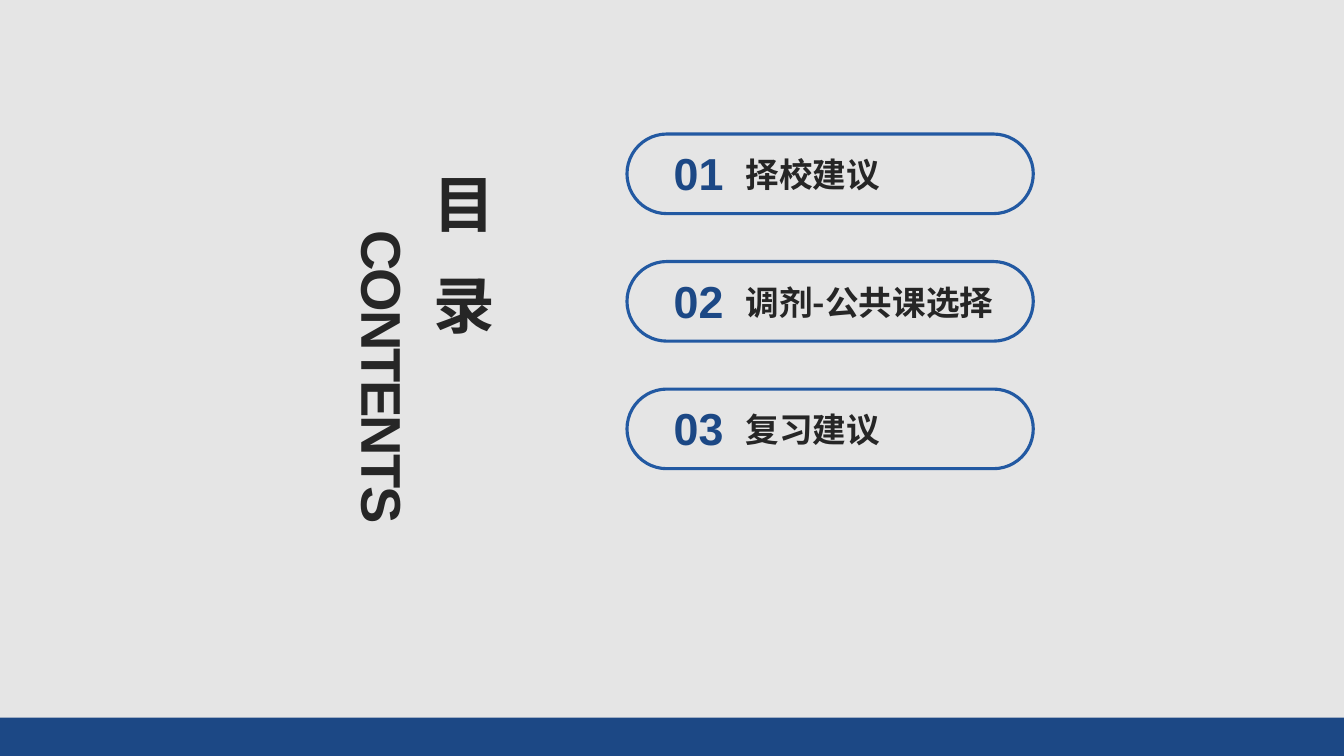
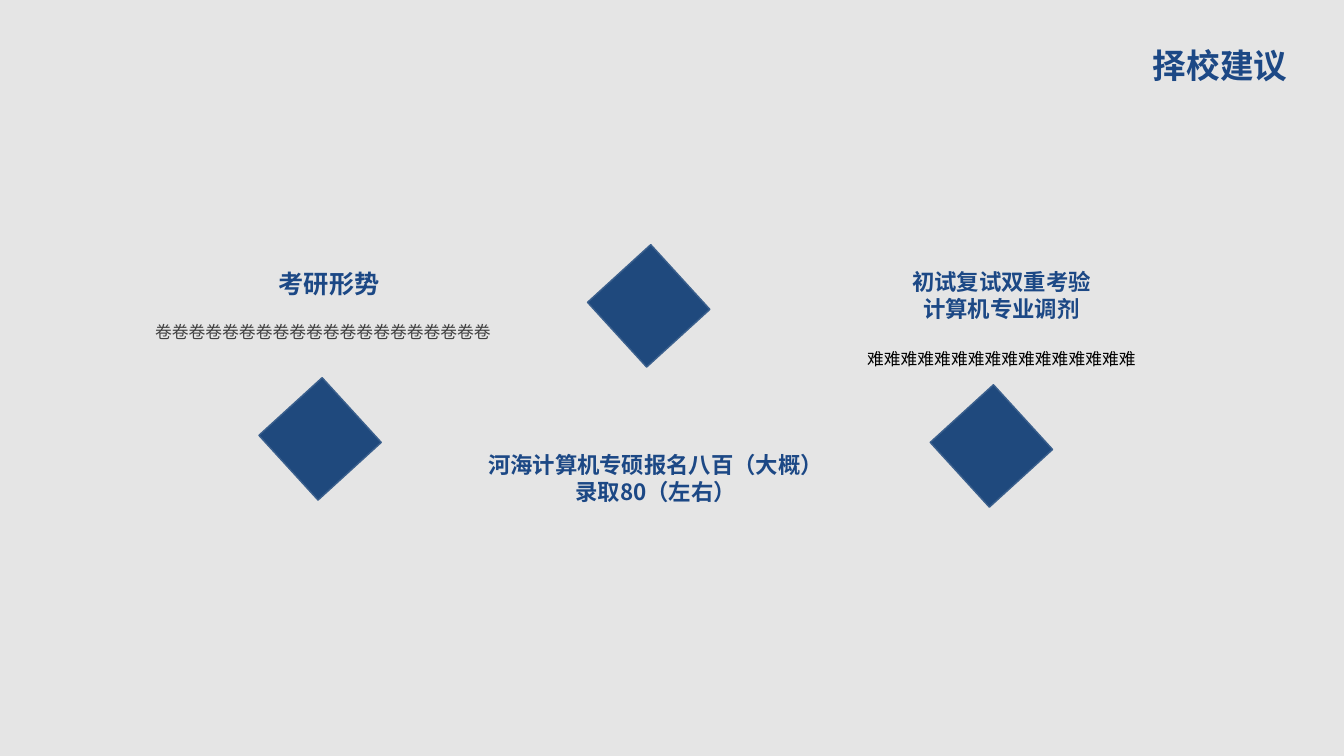
from dataclasses import dataclass

from lxml import etree
from pptx import Presentation
from pptx.dml.color import RGBColor
from pptx.enum.shapes import MSO_SHAPE as SHAPE
from pptx.enum.text import MSO_ANCHOR as ANCHOR, MSO_AUTO_SIZE as FIT, PP_ALIGN as ALIGN
from pptx.oxml.ns import qn
from pptx.util import Emu, Inches, Pt

# Shared look
GREY = RGBColor(0xE5, 0xE5, 0xE5)
NAVY = RGBColor(0x1C, 0x48, 0x85)
RING = RGBColor(0x22, 0x59, 0xA2)
STEEL = RGBColor(0x1F, 0x49, 0x7D)
EDGE = RGBColor(0x3A, 0x5F, 0x8C)
INK = RGBColor(0x26, 0x26, 0x26)
SOFT = RGBColor(0x40, 0x40, 0x40)
BLACK = RGBColor(0, 0, 0)
CJK, LATIN = "Noto Sans CJK SC", "Arial"
WIDTH, HEIGHT = Inches(13.33), Inches(7.5)
TEXT_W = 27.38  # width of the text columns on the topic slide
TOPIC_TOP = 34.8


@dataclass(frozen=True)
class Box:
    """Left, top, width and height in per cent of the slide."""
    x: float
    y: float
    w: float
    h: float

    def emu(self) -> tuple:
        return (Emu(round(WIDTH * self.x / 100)), Emu(round(HEIGHT * self.y / 100)),
                Emu(round(WIDTH * self.w / 100)), Emu(round(HEIGHT * self.h / 100)))


@dataclass(frozen=True)
class Style:
    size: float
    color: RGBColor = NAVY
    font: str = CJK
    bold: bool = True
    align: ALIGN = ALIGN.CENTER
    line: float = 1.0
    before: float = 0
    spacing: float = 0
    vertical: bool = False


@dataclass(frozen=True)
class TextItem:
    box: Box
    lines: tuple  # pairs of text and Style


HEAD = Style(16)
TOPICS = (
    TextItem(Box(10.8, TOPIC_TOP, TEXT_W, 5.33), (("考研形势", Style(18)),)),
    TextItem(Box(10.8, 40.53, 43.35, 4.93),
             (("卷" * 20, Style(12, SOFT, bold=False, align=ALIGN.LEFT, line=1.5)),)),
    TextItem(Box(35.1, 59.07, TEXT_W, 8.53),
             (("河海计算机专硕报名八百（大概）", HEAD), ("录取80（左右）", HEAD))),
    TextItem(Box(60.83, TOPIC_TOP, TEXT_W, 17.47),
             (("初试复试双重考验", HEAD), ("计算机专业调剂", HEAD),
              ("难" * 16, Style(12, BLACK, bold=False, before=19)))),
)
DIAMONDS = ((20.55, 52.4), (45, TOPIC_TOP), (70.5, 53.33))
CONTENTS = ("择校建议", "调剂-公共课选择", "复习建议")


def write(sp, lines: tuple) -> None:
    tf = sp.text_frame
    tf.text = "\n".join(text for text, _ in lines)
    tf.word_wrap = True
    tf.auto_size = FIT.SHAPE_TO_FIT_TEXT
    tf.vertical_anchor = ANCHOR.TOP
    if lines[0][1].vertical:
        tf._txBody.bodyPr.set("vert", "eaVert")
    for p, (_, style) in zip(tf.paragraphs, lines):
        p.alignment, p.line_spacing = style.align, style.line
        p.space_before = Pt(style.before)
        for r in p.runs:
            r.font.size, r.font.bold = Pt(style.size), style.bold
            r.font.name = style.font
            r.font.color.rgb = style.color
            r_pr = r._r.get_or_add_rPr()
            etree.SubElement(r_pr, qn("a:ea")).set("typeface", style.font)
            if style.spacing:
                r_pr.set("spc", str(round(style.spacing * 100)))


def add_text(shapes, box: Box, *lines: tuple) -> None:
    write(shapes.add_textbox(*box.emu()), lines)


def add_panel(shapes, kind: SHAPE, box: Box, fill: RGBColor = None,
              line: RGBColor = None, weight: float = 1):
    sp = shapes.add_shape(kind, *box.emu())
    sp.shadow.inherit = False
    if fill is None:
        sp.fill.background()
    else:
        sp.fill.solid()
        sp.fill.fore_color.rgb = fill
    if line is None:
        sp.line.fill.background()
    else:
        sp.line.color.rgb = line
        sp.line.width = Pt(weight)
    return sp


def titled_slide(prs, text: str, box: Box, style: Style):
    s = prs.slides.add_slide(prs.slide_layouts[5])
    title = s.shapes.title
    title.left, title.top, title.width, title.height = box.emu()
    write(title, ((text, style),))
    return s


def add_entry(shapes, index: int, label: str) -> None:
    top = 17.73 + 16.87 * index
    group = shapes.add_group_shape().shapes
    pill = add_panel(group, SHAPE.ROUNDED_RECTANGLE, Box(46.65, top, 30.23, 10.53),
                     line=RING, weight=2.25)
    pill.adjustments[0] = 0.5
    add_text(group, Box(49.05, top + 0.93, 5.85, 8.53),
             (f"{index + 1:02d}", Style(32, font=LATIN)))
    add_text(group, Box(54.75, top + 2, 22.13, 6.67),
             (label, Style(24, INK, align=ALIGN.LEFT)))


def contents_slide(prs) -> None:
    s = titled_slide(prs, "目 录", Box(30.83, 22.27, 7.05, 30.93),
                     Style(44, INK, spacing=9, vertical=True))
    add_text(s.shapes, Box(24.83, 29.2, 6.6, 49.6),
             ("CONTENTS", Style(40, INK, LATIN, spacing=-1.5, vertical=True)))
    for index, label in enumerate(CONTENTS):
        add_entry(s.shapes, index, label)
    # Bottom band
    add_panel(s.shapes, SHAPE.RECTANGLE, Box(0, 94.93, 100, 5.07), fill=NAVY)


def topic_slide(prs) -> None:
    s = titled_slide(prs, "择校建议", Box(69.15, 5.33, TEXT_W, 6.67),
                     Style(24, align=ALIGN.RIGHT))
    for x, y in DIAMONDS:
        diamond = add_panel(s.shapes, SHAPE.RECTANGLE, Box(x, y, 6.53, 11.33), STEEL, EDGE)
        diamond.rotation = 47.6
    for item in TOPICS:
        add_text(s.shapes, item.box, *item.lines)


def main() -> None:
    prs = Presentation()
    prs.slide_width, prs.slide_height = WIDTH, HEIGHT
    background = prs.slide_master.background.fill
    background.solid()
    background.fore_color.rgb = GREY
    contents_slide(prs)
    topic_slide(prs)
    prs.save("out.pptx")


if __name__ == "__main__":
    main()
